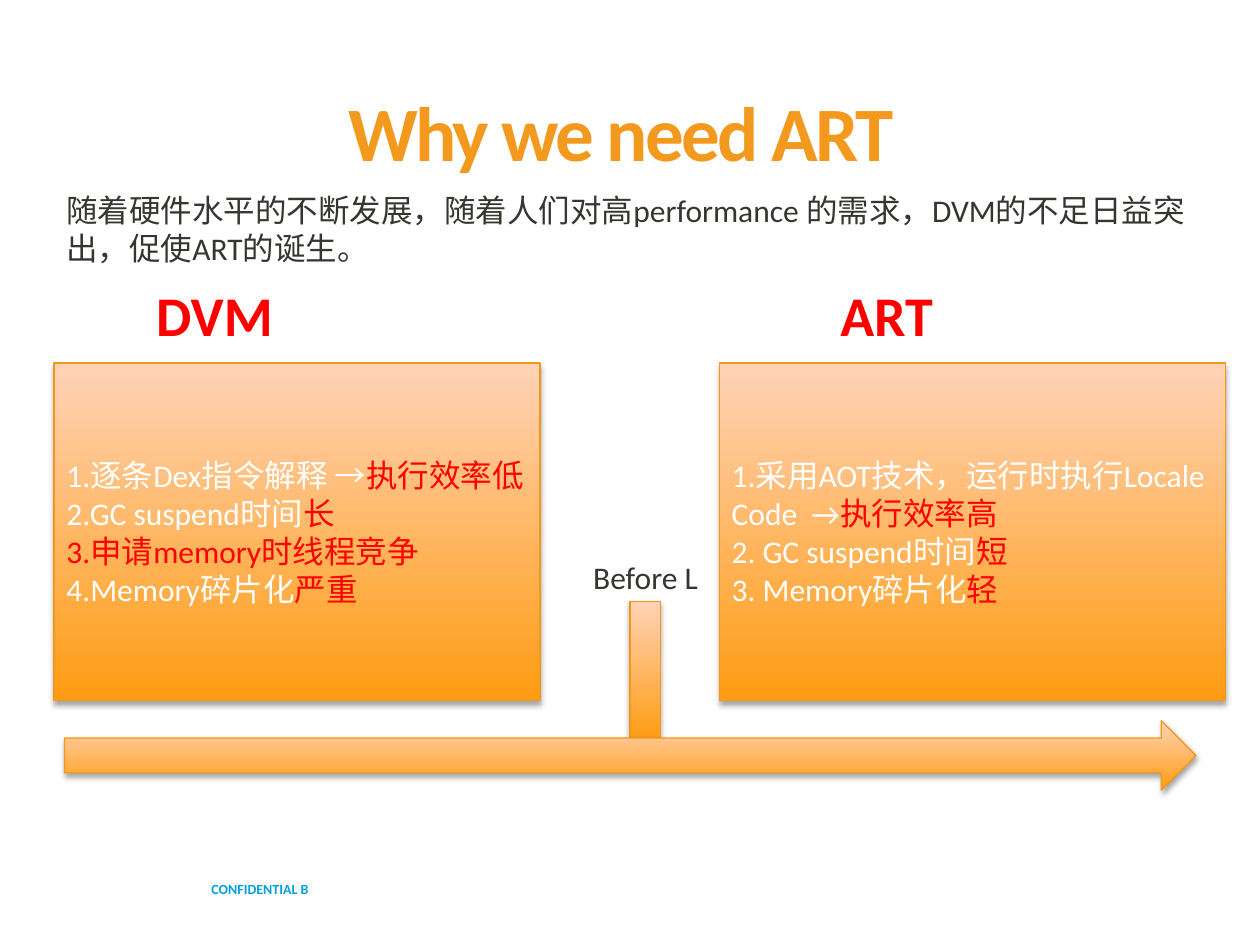
from dataclasses import dataclass

from lxml import etree
from pptx import Presentation
from pptx.dml.color import RGBColor
from pptx.enum.shapes import MSO_SHAPE
from pptx.enum.text import MSO_ANCHOR, PP_ALIGN
from pptx.oxml.ns import qn
from pptx.util import Cm, Pt

RECTANGLE = MSO_SHAPE.RECTANGLE
RIGHT_ARROW = MSO_SHAPE.RIGHT_ARROW
TOP, MIDDLE = MSO_ANCHOR.TOP, MSO_ANCHOR.MIDDLE
LEFT, CENTER = PP_ALIGN.LEFT, PP_ALIGN.CENTER


@dataclass(frozen=True)
class Theme:
    font: str = "Calibri"
    title: RGBColor = RGBColor(0xF3, 0x9A, 0x1E)
    body: RGBColor = RGBColor(0x35, 0x36, 0x30)
    accent: RGBColor = RGBColor(0xFF, 0x00, 0x00)
    light: RGBColor = RGBColor(0xFF, 0xFF, 0xFF)
    footer: RGBColor = RGBColor(0x00, 0xA1, 0xDE)
    outline: RGBColor = RGBColor(0xF3, 0x97, 0x18)
    gradient: tuple = (RGBColor(0xFF, 0x9C, 0x12), RGBColor(0xFF, 0xD3, 0xB7))
    title_size: int = 44
    heading_size: int = 32
    body_size: int = 18
    footer_size: int = 8


class SlideBuilder:
    def __init__(self, slide, theme):
        self.slide = slide
        self.theme = theme

    def style(self, paragraph, size, color=None, bold=False):
        font = paragraph.font
        font.name, font.size, font.bold = self.theme.font, Pt(size), bold
        if color is not None:
            font.color.rgb = color

    def label(self, text, left, top, width, height, size, color,
              bold=False, anchor=TOP, align=LEFT):
        shape = self.slide.shapes.add_textbox(Cm(left), Cm(top), Cm(width), Cm(height))
        frame = shape.text_frame
        frame.word_wrap = True
        frame.vertical_anchor = anchor
        paragraph = frame.paragraphs[0]
        paragraph.text = text
        paragraph.alignment = align
        self.style(paragraph, size, color, bold)
        return paragraph

    def title(self, text, *bounds):
        paragraph = self.label(text, *bounds, self.theme.title_size,
                               self.theme.title, bold=True, align=CENTER)
        paragraph.line_spacing = 0.8
        # Tighten the letters by 1.5 points
        paragraph.runs[0].font._element.set("spc", "-150")

    def block(self, preset, left, top, width, height):
        shape = self.slide.shapes.add_shape(preset, Cm(left), Cm(top), Cm(width), Cm(height))
        shape.fill.gradient()
        shape.fill.gradient_angle = 90
        for stop, color in zip(shape.fill.gradient_stops, self.theme.gradient):
            stop.color.rgb = color
        shape.line.color.rgb = self.theme.outline
        shape.line.width = Pt(0.75)
        self.soft_shadow(shape)
        return shape

    def soft_shadow(self, shape):
        shape.shadow.inherit = False
        effects = shape._element.spPr.find(qn("a:effectLst"))
        shadow = etree.SubElement(effects, qn("a:outerShdw"), blurRad="40000",
                                  dist="23000", dir="5400000", rotWithShape="0")
        color = etree.SubElement(shadow, qn("a:srgbClr"), val="000000")
        etree.SubElement(color, qn("a:alpha"), val="35000")

    def panel(self, lines, *bounds):
        """Each line is a plain part followed by a highlighted part."""
        frame = self.block(RECTANGLE, *bounds).text_frame
        frame.word_wrap = True
        frame.vertical_anchor = MIDDLE
        for index, parts in enumerate(lines):
            paragraph = frame.add_paragraph() if index else frame.paragraphs[0]
            paragraph.alignment = LEFT
            self.style(paragraph, self.theme.body_size)
            for text, color in zip(parts, (self.theme.light, self.theme.accent)):
                if text:
                    run = paragraph.add_run()
                    run.text = text
                    run.font.color.rgb = color


def main():
    presentation = Presentation()
    presentation.slide_width, presentation.slide_height = Cm(25.4), Cm(19.05)
    slide = presentation.slides.add_slide(presentation.slide_layouts[6])
    theme = Theme()
    builder = SlideBuilder(slide, theme)

    # Footer and title
    builder.label("CONFIDENTIAL B", 4.01, 17.42, 4.47, 1.02, theme.footer_size,
                  theme.footer, bold=True, anchor=MIDDLE)
    builder.title("Why we need ART", 1.09, 1.93, 22.86, 2.39)

    # Comparison panels
    panel_top, panel_height = 7.32, 6.81
    builder.panel([
        ("1.逐条Dex指令解释 →", "执行效率低"),
        ("2.GC suspend时间", "长"),
        ("", "3.申请memory时线程竞争"),
        ("4.Memory碎片化", "严重"),
    ], 1.09, panel_top, 9.8, panel_height)
    builder.panel([
        ("1.采用AOT技术，运行时执行Locale  Code  →", "执行效率高"),
        ("2. GC suspend时间", "短"),
        ("3. Memory碎片化", "轻"),
    ], 14.5, panel_top, 10.21, panel_height)

    # Panel headings
    for heading, left in (("DVM", 2.9), ("ART", 16.69)):
        builder.label(heading, left, 5.54, 4.6, 1.63, theme.heading_size,
                      theme.accent, bold=True)

    # Timeline with its marker
    builder.block(RECTANGLE, 12.7, 12.12, 0.61, 2.79)
    builder.label("Before L", 11.71, 11.13, 3, 1.02, theme.body_size, theme.body)
    builder.block(RIGHT_ARROW, 1.3, 14.53, 22.81, 1.4)

    # Introduction
    builder.label("随着硬件水平的不断发展，随着人们对高performance 的需求，DVM的不足日益突出，促使ART的诞生。",
                  1.09, 3.73, 23.19, 1.8, theme.body_size, theme.body)

    presentation.save("out.pptx")


if __name__ == "__main__":
    main()
